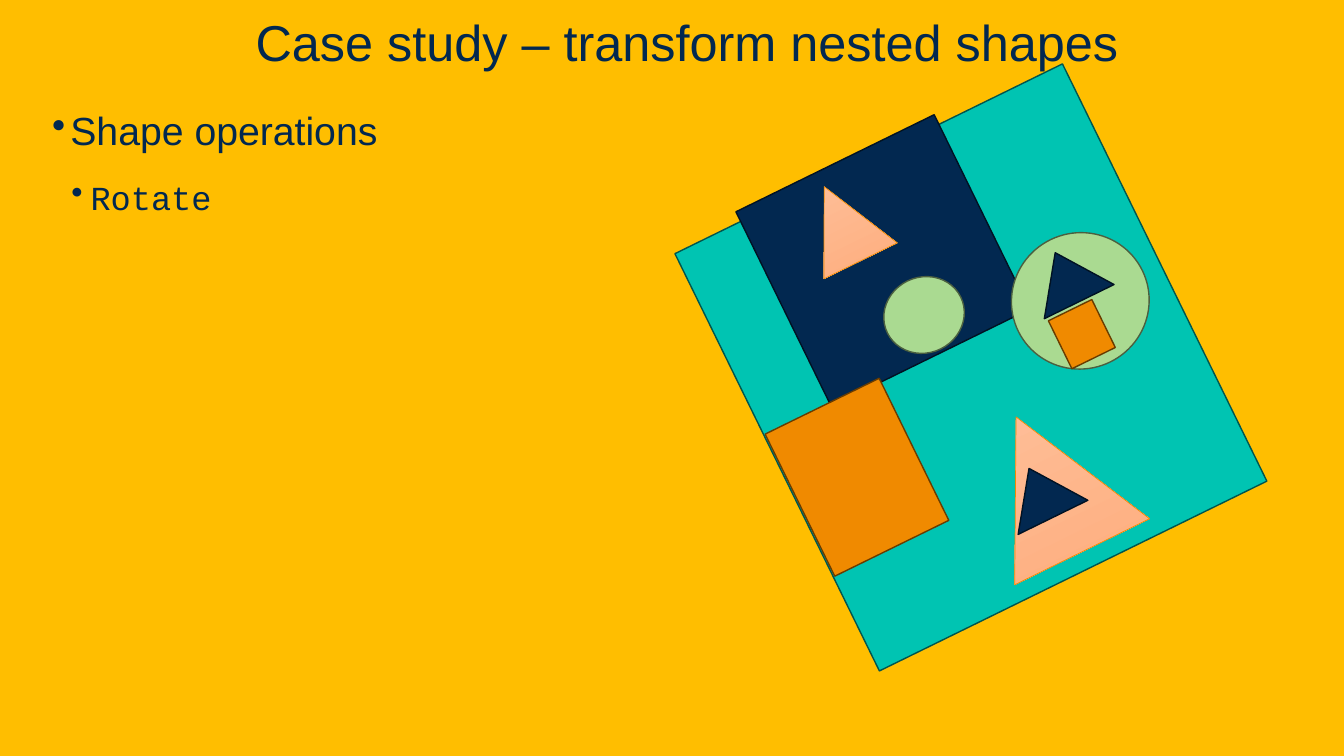
from dataclasses import dataclass

import pptx
import pptx.dml.color
import pptx.enum.shapes
import pptx.enum.text
import pptx.oxml
import pptx.oxml.ns
import pptx.util

Inches = pptx.util.Inches
Pt = pptx.util.Pt
Kind = pptx.enum.shapes.MSO_SHAPE
Anchor = pptx.enum.text.MSO_ANCHOR
Align = pptx.enum.text.PP_ALIGN

NAVY = "022850"
ROTATION = 333.9


@dataclass(frozen=True)
class Style:
    fills: tuple[str, ...]  # two colours make a vertical gradient
    line: str
    line_width: float = 1


@dataclass(frozen=True)
class Figure:
    kind: Kind
    style: Style
    left: float
    top: float
    width: float
    height: float


@dataclass(frozen=True)
class TextLine:
    text: str
    font: str
    size: float
    margin: float
    indent: float = 0
    level: int = 0
    bullet: str = ""


TEAL_STYLE = Style(("00C4B2",), "00564E")
NAVY_STYLE = Style((NAVY,), "011223")
ORANGE_STYLE = Style(("F08A00",), "693C00")
GREEN_STYLE = Style(("AADA91",), "4B6040")
PEACH_STYLE = Style(("FFC19E", "FDAD7C"), "F08A00", 0.5)

FIGURES = [
    Figure(Kind.RECTANGLE, TEAL_STYLE, 7.49, 1.34, 4.28, 4.61),
    Figure(Kind.RECTANGLE, NAVY_STYLE, 7.66, 1.51, 2.19, 2.15),
    Figure(Kind.RECTANGLE, ORANGE_STYLE, 7.87, 3.95, 1.26, 1.57),
    Figure(Kind.OVAL, GREEN_STYLE, 10.03, 2.31, 1.37, 1.35),
    Figure(Kind.ISOSCELES_TRIANGLE, PEACH_STYLE, 9.66, 4.06, 1.49, 1.49),
    Figure(Kind.ISOSCELES_TRIANGLE, PEACH_STYLE, 7.95, 1.81, 0.81, 0.82),
    Figure(Kind.OVAL, GREEN_STYLE, 8.76, 2.75, 0.81, 0.75),
    Figure(Kind.ISOSCELES_TRIANGLE, NAVY_STYLE, 9.94, 4.62, 0.77, 0.54),
    Figure(Kind.ISOSCELES_TRIANGLE, NAVY_STYLE, 10.2, 2.48, 0.77, 0.54),
    Figure(Kind.RECTANGLE, ORANGE_STYLE, 10.49, 3.05, 0.48, 0.53),
]

TITLE = [TextLine("Case study – transform nested shapes", "Arial", 36, 0.3)]
OPERATIONS = [
    TextLine("Shape operations", "Arial", 28, 0.18, -0.18, 0, "•"),
    TextLine("Rotate", "Courier New", 24, 0.38, -0.19, 1, "•"),
]
TITLE_FORMAT = {"alignment": Align.CENTER}
OPERATIONS_FORMAT = {"line_spacing": 1.2, "space_after": Pt(6)}


def color(value: str) -> pptx.dml.color.RGBColor:
    return pptx.dml.color.RGBColor.from_string(value)


def set_attributes(target: object, values: dict[str, object]) -> None:
    for name, value in values.items():
        setattr(target, name, value)


def add_figure(slide: pptx.slide.Slide, figure: Figure) -> None:
    box = (figure.left, figure.top, figure.width, figure.height)
    shape = slide.shapes.add_shape(figure.kind, *map(Inches, box))
    shape.rotation = ROTATION
    shape.shadow.inherit = False
    style = figure.style
    if len(style.fills) == 1:
        shape.fill.solid()
        shape.fill.fore_color.rgb = color(style.fills[0])
    else:
        shape.fill.gradient()
        shape.fill.gradient_angle = 270
        for position, (stop, value) in enumerate(zip(shape.fill.gradient_stops, style.fills)):
            set_attributes(stop, {"position": position})
            stop.color.rgb = color(value)
    shape.line.color.rgb = color(style.line)
    shape.line.width = Pt(style.line_width)


def add_text(
    slide: pptx.slide.Slide,
    box: tuple[float, float, float, float],
    lines: list[TextLine],
    frame_format: dict[str, object],
    paragraph_format: dict[str, object],
) -> None:
    frame = slide.shapes.add_textbox(*map(Inches, box)).text_frame
    set_attributes(frame, {"word_wrap": True, **frame_format})
    for index, line in enumerate(lines):
        paragraph = frame.add_paragraph() if index else frame.paragraphs[0]
        paragraph.text = line.text
        set_attributes(paragraph, {"level": line.level, **paragraph_format})
        if index:
            paragraph.space_before = Pt(5)
        properties = paragraph._p.get_or_add_pPr()
        properties.set("marL", str(Inches(line.margin)))
        properties.set("indent", str(Inches(line.indent)))
        if line.bullet:
            bullet = pptx.oxml.parse_xml(
                f'<a:buChar {pptx.oxml.ns.nsdecls("a")} char="{line.bullet}"/>'
            )
            properties.append(bullet)
        set_attributes(paragraph.font, {"name": line.font, "size": Pt(line.size)})
        paragraph.font.color.rgb = color(NAVY)


def main() -> None:
    presentation = pptx.Presentation()
    set_attributes(
        presentation, {"slide_width": Inches(13.33), "slide_height": Inches(7.5)}
    )
    slide = presentation.slides.add_slide(presentation.slide_layouts[6])
    slide.background.fill.solid()
    slide.background.fill.fore_color.rgb = color("FFBE00")
    add_text(
        slide,
        (0, 0, 13.33, 0.76),
        TITLE,
        {"vertical_anchor": Anchor.BOTTOM},
        TITLE_FORMAT,
    )
    add_text(
        slide,
        (0.42, 0.86, 6.16, 5.52),
        OPERATIONS,
        {"margin_top": Inches(0.1)},
        OPERATIONS_FORMAT,
    )
    for figure in FIGURES:
        add_figure(slide, figure)
    presentation.save("out.pptx")


if __name__ == "__main__":
    main()
